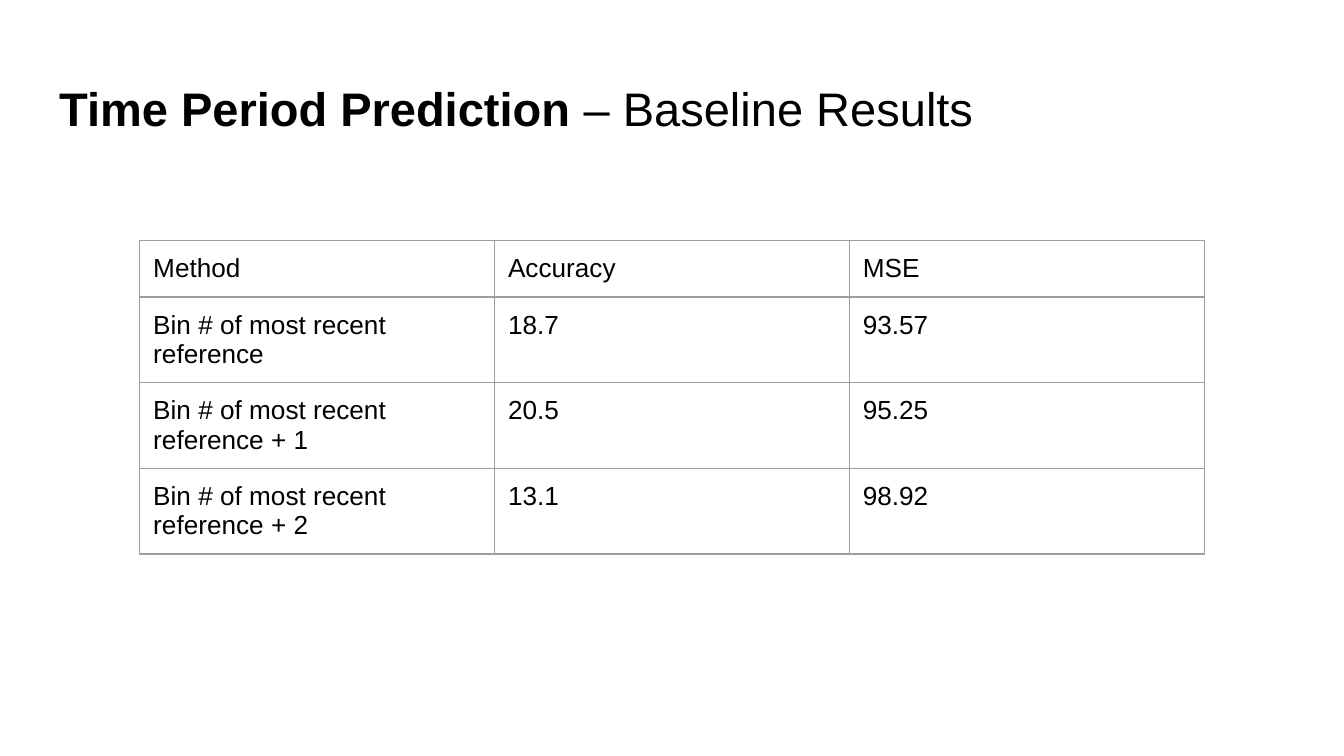
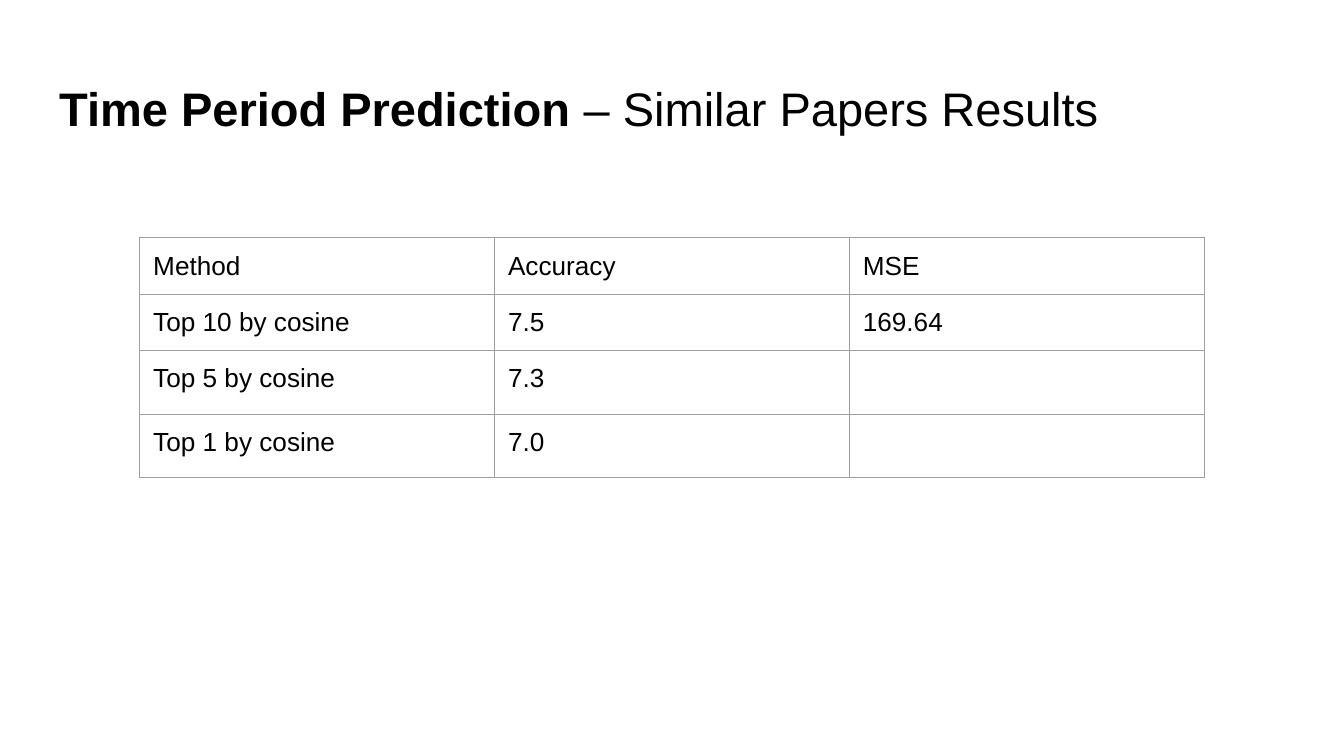
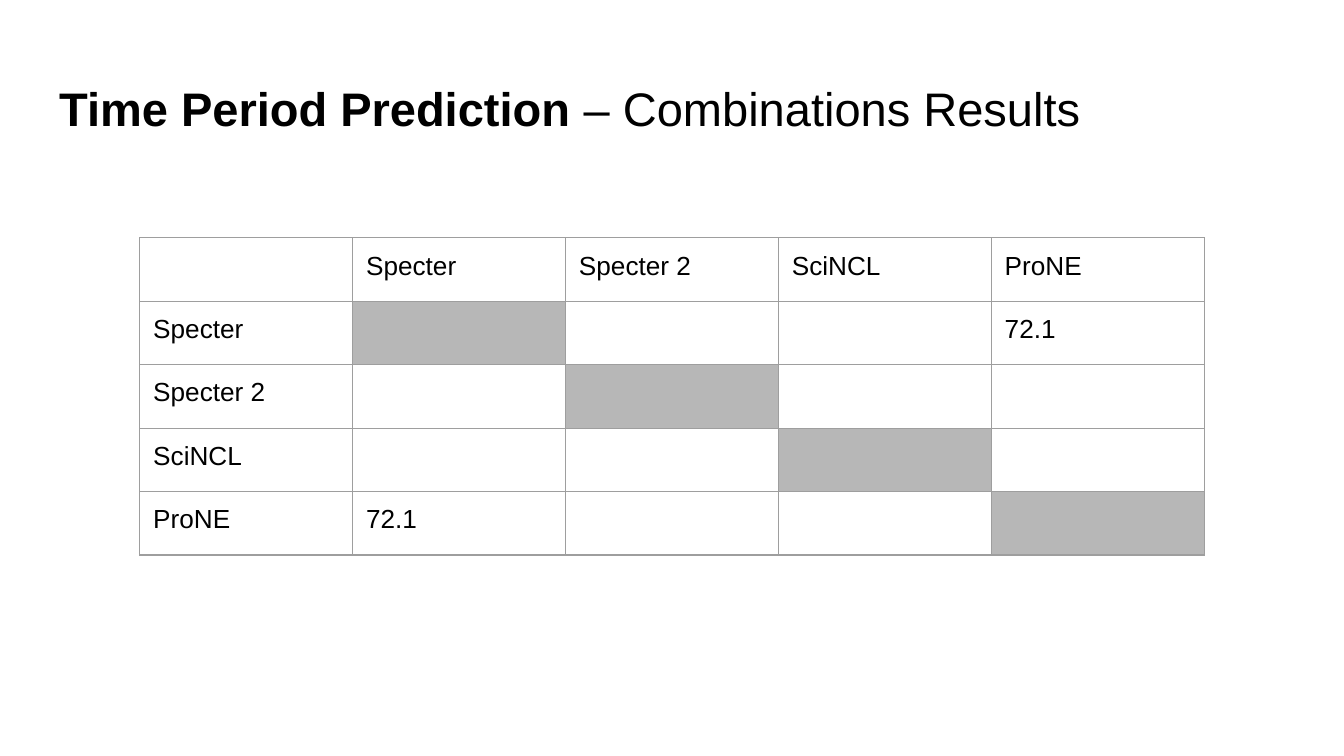
import dataclasses

import lxml.etree
import pptx
import pptx.dml.color
import pptx.enum.text
import pptx.oxml.ns
import pptx.util

Inches = pptx.util.Inches
FONT = "Arial"
BLACK = "000000"
GREY = "9E9E9E"
SHADE = "B7B7B7"
TOPIC = "Time Period Prediction"
PAD = Inches(0.1)
LEFT = Inches(1.04)
WIDTH = Inches(7.92)
ROW = Inches(0.42)
MODELS = ["Specter", "Specter 2", "SciNCL", "ProNE"]
SCORES = {("Specter", "ProNE"): "72.1", ("ProNE", "Specter"): "72.1"}
HEADS = ["Method", "Accuracy", "MSE"]


@dataclasses.dataclass
class Page:
    name: str
    top: float
    rows: list[list[str]]
    shaded: bool = False


PAGES = [
    Page("Baseline Results", 1.79, [
        HEADS,
        ["Bin # of most recent reference", "18.7", "93.57"],
        ["Bin # of most recent reference + 1", "20.5", "95.25"],
        ["Bin # of most recent reference + 2", "13.1", "98.92"],
    ]),
    Page("Similar Papers Results", 1.77, [
        HEADS,
        ["Top 10 by cosine", "7.5", "169.64"],
        ["Top 5 by cosine", "7.3", ""],
        ["Top 1 by cosine", "7.0", ""],
    ]),
    Page("Combinations Results", 1.77, [
        ["", *MODELS],
        *([row, *(SCORES.get((row, col), "") for col in MODELS)] for row in MODELS),
    ], shaded=True),
]


def paint(code: str) -> pptx.dml.color.RGBColor:
    return pptx.dml.color.RGBColor.from_string(code)


def add_run(para, text: str, size: float, bold: bool = False) -> None:
    run = para.add_run()
    run.text = text
    run.font.name = FONT
    run.font.size = pptx.util.Pt(size)
    run.font.bold = bold
    run.font.color.rgb = paint(BLACK)


def set_blank(para) -> None:
    qn = pptx.oxml.ns.qn
    mark = lxml.etree.SubElement(para._p, qn("a:endParaRPr"), sz="1750")
    lxml.etree.SubElement(mark, qn("a:latin"), typeface=FONT)


def set_pads(box) -> None:
    box.margin_left = box.margin_right = PAD
    box.margin_top = box.margin_bottom = PAD


def add_edges(cell) -> None:
    props = cell._tc.get_or_add_tcPr()
    qn = pptx.oxml.ns.qn
    for spot, side in enumerate(("lnL", "lnR", "lnT", "lnB")):
        line = lxml.etree.Element(qn(f"a:{side}"), w=str(pptx.util.Pt(0.75)))
        fill = lxml.etree.SubElement(line, qn("a:solidFill"))
        lxml.etree.SubElement(fill, qn("a:srgbClr"), val=GREY)
        props.insert(spot, line)


def add_title(slide, name: str) -> None:
    title = slide.shapes.title
    title.left, title.top = Inches(0.34), Inches(0.49)
    title.width, title.height = Inches(9.32), Inches(0.63)
    frame = title.text_frame
    set_pads(frame)
    frame.word_wrap = True
    frame.auto_size = pptx.enum.text.MSO_AUTO_SIZE.NONE
    frame.vertical_anchor = pptx.enum.text.MSO_ANCHOR.MIDDLE
    para = frame.paragraphs[0]
    para.alignment = pptx.enum.text.PP_ALIGN.LEFT
    add_run(para, TOPIC, 25.2, bold=True)
    add_run(para, f" – {name}", 25.2)


def add_grid(slide, page: Page) -> None:
    count, wide = len(page.rows), len(page.rows[0])
    shape = slide.shapes.add_table(
        count, wide, LEFT, Inches(page.top), WIDTH, ROW * count
    )
    table = shape.table
    table.first_row = table.horz_banding = False
    for down, row in enumerate(page.rows):
        for over, text in enumerate(row):
            cell = table.cell(down, over)
            set_pads(cell)
            if page.shaded and down == over > 0:
                cell.fill.solid()
                cell.fill.fore_color.rgb = paint(SHADE)
            else:
                cell.fill.background()
            add_edges(cell)
            para = cell.text_frame.paragraphs[0]
            if text:
                add_run(para, text, 14)
            else:
                set_blank(para)


def main() -> None:
    deck = pptx.Presentation()
    deck.slide_width = Inches(10)
    deck.slide_height = deck.slide_width * 9 // 16
    for page in PAGES:
        slide = deck.slides.add_slide(deck.slide_layouts[5])
        add_title(slide, page.name)
        add_grid(slide, page)
    deck.save("out.pptx")


if __name__ == "__main__":
    main()
